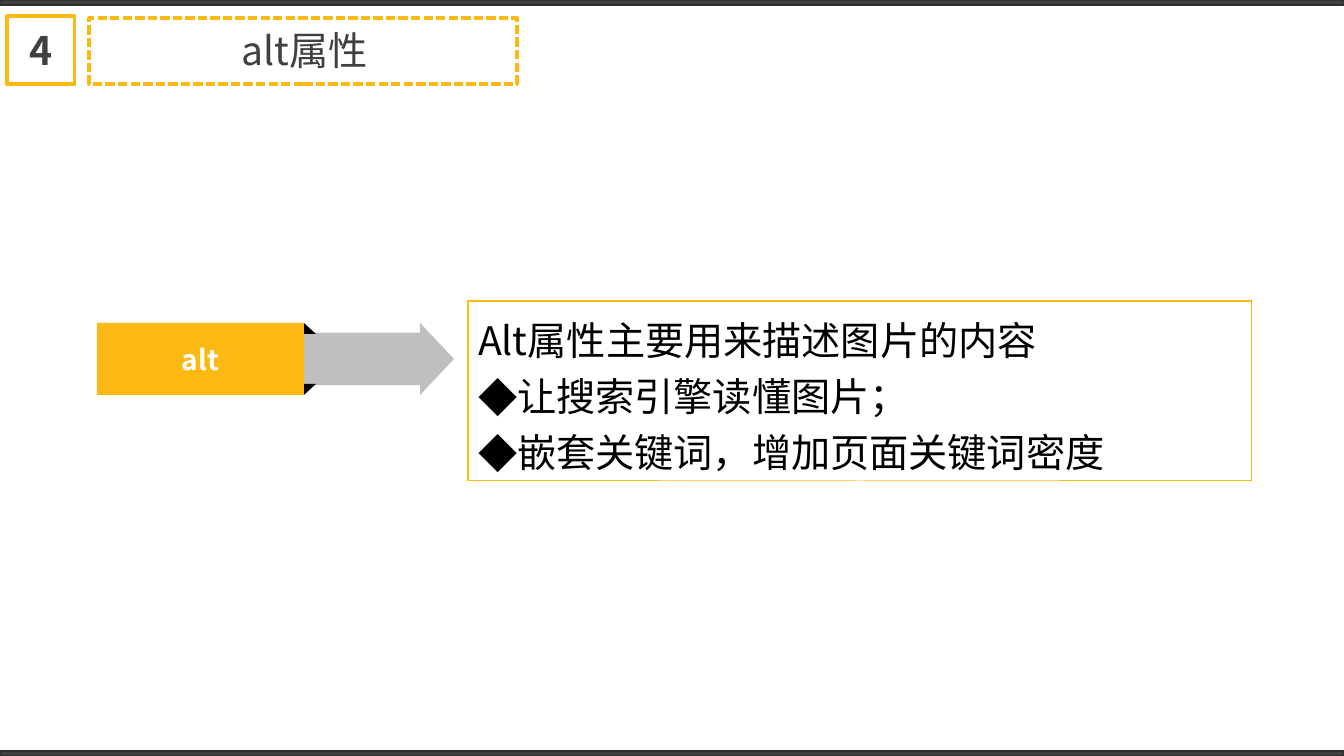
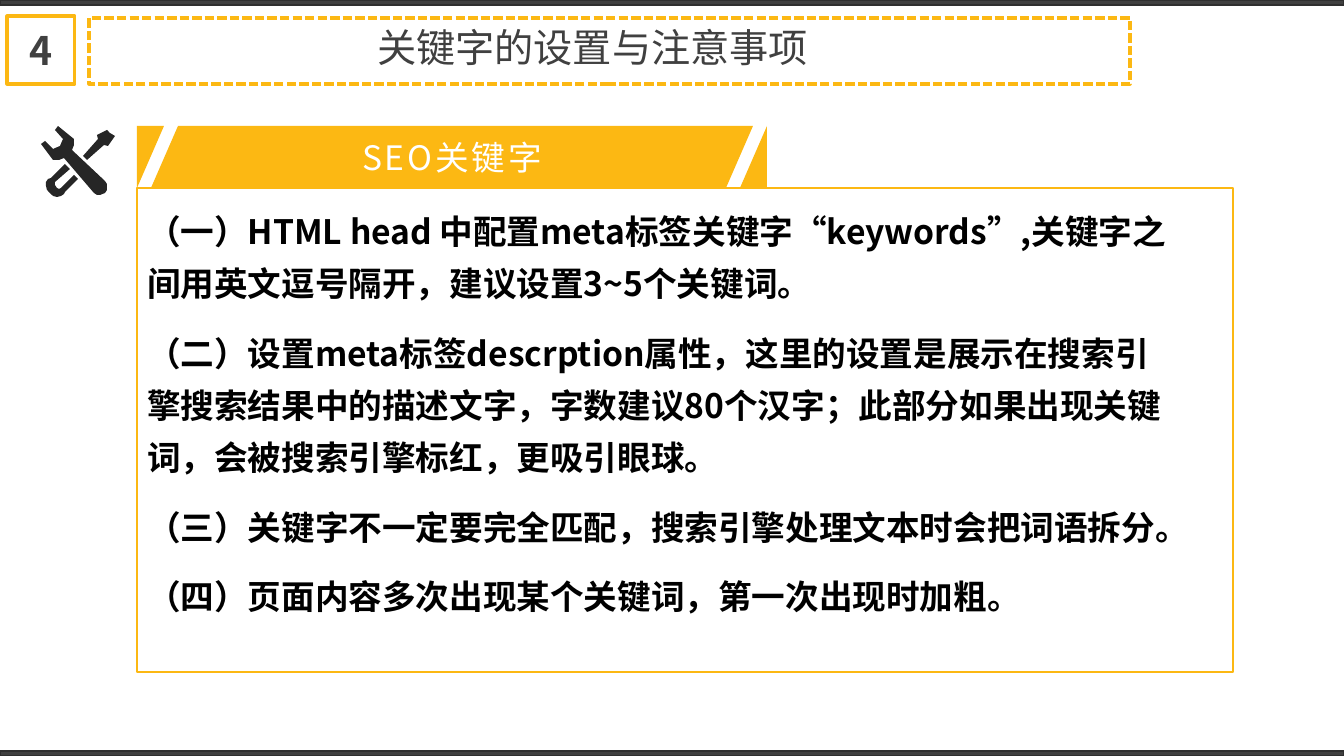
from lxml import etree
from pptx import Presentation
from pptx import util as u
from pptx.dml.color import RGBColor
from pptx.enum import dml, lang, shapes, text
from pptx.oxml import ns

SCALE = 914400 / 100.8  # EMU per px
WIDTH, HEIGHT = 1344, 756
BAND_HEIGHT = 5
FONT = "Noto Sans CJK SC"

YELLOW = RGBColor(0xFC, 0xB8, 0x13)
WHITE = RGBColor(0xFF, 0xFF, 0xFF)
BLACK = RGBColor(0, 0, 0)
GREY = RGBColor(0xBF, 0xBF, 0xBF)
DARK = RGBColor(0x40, 0x40, 0x40)
BAND_EDGE = RGBColor(0x2F, 0x2F, 0x2F)
ICON_DARK = RGBColor(0x26, 0x26, 0x26)

RIBBON_PIECES = [
    [(0, 0), (27, 0), (0, 62)],
    [(41, 0), (616, 0), (589, 62), (14, 62)],
    [(630, 0), (630, 62), (603, 62)],
]
TOOL_PIECES = [
    # screwdriver handle
    [(33, 49), (20, 62), (18, 63), (16, 62), (14, 59), (14, 56), (29, 43),
     (24, 38), (10, 52), (7, 53), (5, 56), (5, 60), (6, 64), (9, 67), (12, 70),
     (16, 71), (20, 70), (23, 68), (24, 66), (37, 53)],
    # wrench
    [(31, 24), (64, 55), (66, 58), (66, 64), (64, 67), (59, 69), (56, 69),
     (53, 67), (23, 32), (18, 34), (12, 34), (0, 18), (4, 15), (12, 23),
     (19, 20), (22, 13), (14, 4), (17, 0), (33, 13), (33, 19)],
    # screwdriver shaft
    [(66, 4), (56, 9), (57, 13), (42, 30), (46, 34), (63, 19), (67, 20),
     (74, 10), (69, 7)],
]


def px(length):
    return u.Emu(round(length * SCALE))


def paint(shape, fill=None, line=None, weight=1, dash=None):
    shape.shadow.inherit = False
    if fill is None:
        shape.fill.background()
    else:
        shape.fill.solid()
        shape.fill.fore_color.rgb = fill
    if line is None:
        shape.line.fill.background()
    else:
        shape.line.color.rgb = line
        shape.line.width = u.Pt(weight)
        if dash is not None:
            shape.line.dash_style = dash


def add_box(parent, kind, box, **style):
    shape = parent.shapes.add_shape(kind, *map(px, box))
    paint(shape, **style)
    return shape


def add_outline(page, left, top, pieces, fill):
    """Draw closed polygons, given relative to left and top, as one shape."""
    builder = page.shapes.build_freeform(*pieces[0][0], scale=SCALE)
    for index, points in enumerate(pieces):
        if index:
            builder.move_to(*points[0])
        builder.add_line_segments(points[1:], close=True)
    shape = builder.convert_to_shape(px(left), px(top))
    paint(shape, fill=fill)
    return shape


def add_span(para, words, size, color, bold=False, tracking=0):
    span = para.add_run()
    span.text = words
    font = span.font
    font.name, font.size, font.bold = FONT, u.Pt(size), bold
    font.color.rgb = color
    font.language_id = lang.MSO_LANGUAGE_ID.SIMPLIFIED_CHINESE
    properties = span._r.get_or_add_rPr()
    if tracking:
        properties.set("spc", str(tracking * 100))
    etree.SubElement(properties, ns.qn("a:ea"), typeface=FONT)


def write_label(shape, words, size, color, **style):
    frame = shape.text_frame
    frame.word_wrap = True
    frame.vertical_anchor = text.MSO_ANCHOR.MIDDLE
    para = frame.paragraphs[0]
    para.alignment = text.PP_ALIGN.CENTER
    add_span(para, words, size, color, **style)


def set_bullet(para, mark=None):
    properties = para._p.get_or_add_pPr()
    indent = px(38) if mark else 0
    properties.set("marL", str(indent))
    properties.set("indent", str(-indent))
    if mark:
        etree.SubElement(properties, ns.qn("a:buFont"), typeface=FONT)
        etree.SubElement(properties, ns.qn("a:buChar"), char=mark)
    else:
        etree.SubElement(properties, ns.qn("a:buNone"))


def place(holder, box):
    holder.left, holder.top, holder.width, holder.height = map(px, box)
    frame = holder.text_frame
    frame.word_wrap = True
    frame.auto_size = text.MSO_AUTO_SIZE.NONE
    return frame


def fill_body(page, box, items, size, line_spacing, gap=0, bold=False):
    """Fill the body placeholder with (bullet or None, words) items."""
    body = page.placeholders[1]
    frame = place(body, box)
    frame.vertical_anchor = text.MSO_ANCHOR.MIDDLE
    for index, (mark, words) in enumerate(items):
        para = frame.add_paragraph() if index else frame.paragraphs[0]
        para.line_spacing = line_spacing
        para.space_before = para.space_after = u.Pt(gap)
        set_bullet(para, mark)
        add_span(para, words, size, BLACK, bold)
    return body


def add_page(deck, number, title, title_box, frame_width):
    """Add a slide with bands, a numbered square and a dashed title frame."""
    page = deck.slides.add_slide(deck.slide_layouts[1])
    rectangle = shapes.MSO_SHAPE.RECTANGLE
    for top in (0, HEIGHT - BAND_HEIGHT):
        add_box(page, rectangle, (0, top, WIDTH, BAND_HEIGHT),
                fill=DARK, line=BAND_EDGE)
    add_box(page, rectangle, (89, 18, frame_width, 66), line=YELLOW,
            weight=2.25, dash=dml.MSO_LINE.SQUARE_DOT)
    square = add_box(page, rectangle, (7, 16, 68, 68), line=YELLOW, weight=2.25)
    write_label(square, number, 28, DARK, bold=True)
    frame = place(page.shapes.title, title_box)
    frame.vertical_anchor = text.MSO_ANCHOR.TOP
    para = frame.paragraphs[0]
    para.alignment = text.PP_ALIGN.CENTER
    add_span(para, title, 28, DARK)
    return page


def add_arrow_tag(page, box, words):
    """Draw a label with folded corners, wrapped around an arrow."""
    left, top, width, height = box
    tag_width, fold_width, fold_height = 207, 12, 11
    arrow_left = left + 125
    arrow = add_box(page, shapes.MSO_SHAPE.RIGHT_ARROW,
                    (arrow_left, top, left + width - arrow_left, height), fill=GREY)
    arrow.adjustments[0], arrow.adjustments[1] = 0.73, 0.47
    group = page.shapes.add_group_shape()
    for fold_top, flipped in ((top, False), (top + height - fold_height, True)):
        fold = add_box(group, shapes.MSO_SHAPE.RIGHT_TRIANGLE,
                       (left + tag_width, fold_top, fold_width, fold_height),
                       fill=BLACK)
        if flipped:
            fold._element.spPr.xfrm.set("flipV", "1")
    tag = add_box(group, shapes.MSO_SHAPE.RECTANGLE,
                  (left, top, tag_width, height), fill=YELLOW)
    frame = tag.text_frame
    frame.margin_left = frame.margin_right = 0
    frame.margin_top = frame.margin_bottom = 0
    write_label(tag, words, 20, WHITE, bold=True)


def add_ribbon_panel(page, box, heading):
    """Draw a framed panel under a slashed ribbon, with a tool icon beside it."""
    left, top, width, height = box
    ribbon_height = 62
    ribbon = add_outline(page, left, top, RIBBON_PIECES, YELLOW)
    write_label(ribbon, heading, 24, WHITE, tracking=2)
    add_box(page, shapes.MSO_SHAPE.RECTANGLE,
            (left, top + ribbon_height, width, height - ribbon_height), line=YELLOW)
    add_outline(page, left - 96, top, TOOL_PIECES, ICON_DARK)


def add_alt_page(deck):
    page = add_page(deck, "4", "alt属性", (97, 21, 415, 57), 428)
    add_arrow_tag(page, (97, 323, 357, 72), "alt")
    body = fill_body(page, (468, 301, 784, 180), [
        (None, "Alt属性主要用来描述图片的内容"),
        ("◆", "让搜索引擎读懂图片；"),
        ("◆", "嵌套关键词，增加页面关键词密度"),
    ], 28, u.Pt(40))
    body.line.color.rgb = YELLOW
    body.line.width = u.Pt(0.75)


def add_keyword_page(deck):
    page = add_page(deck, "4", "关键字的设置与注意事项", (89, 18, 1007, 57), 1041)
    add_ribbon_panel(page, (137, 126, 1096, 546), "SEO关键字")
    fill_body(page, (137, 192, 1055, 431), [
        (None, "（一）HTML head 中配置meta标签关键字“keywords”,"
               "关键字之间用英文逗号隔开，建议设置3~5个关键词。"),
        (None, "（二）设置meta标签descrption属性，这里的设置是展示在搜索引擎"
               "搜索结果中的描述文字，字数建议80个汉字；此部分如果出现关键词，"
               "会被搜索引擎标红，更吸引眼球。"),
        (None, "（三）关键字不一定要完全匹配，搜索引擎处理文本时会把词语拆分。"),
        (None, "（四）页面内容多次出现某个关键词，第一次出现时加粗。"),
    ], 24, 1.3, gap=6, bold=True)


def main():
    deck = Presentation()
    deck.slide_width, deck.slide_height = px(WIDTH), px(HEIGHT)
    add_alt_page(deck)
    add_keyword_page(deck)
    deck.save("out.pptx")


if __name__ == "__main__":
    main()
